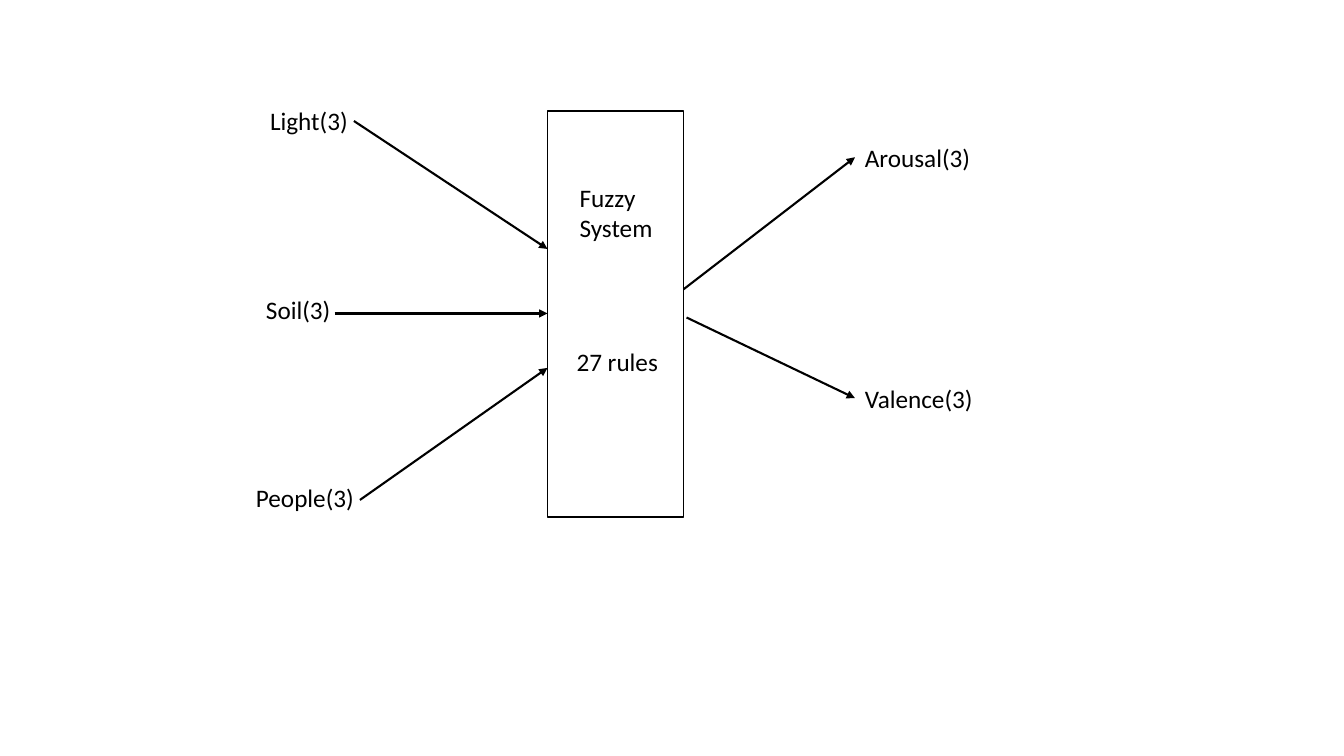
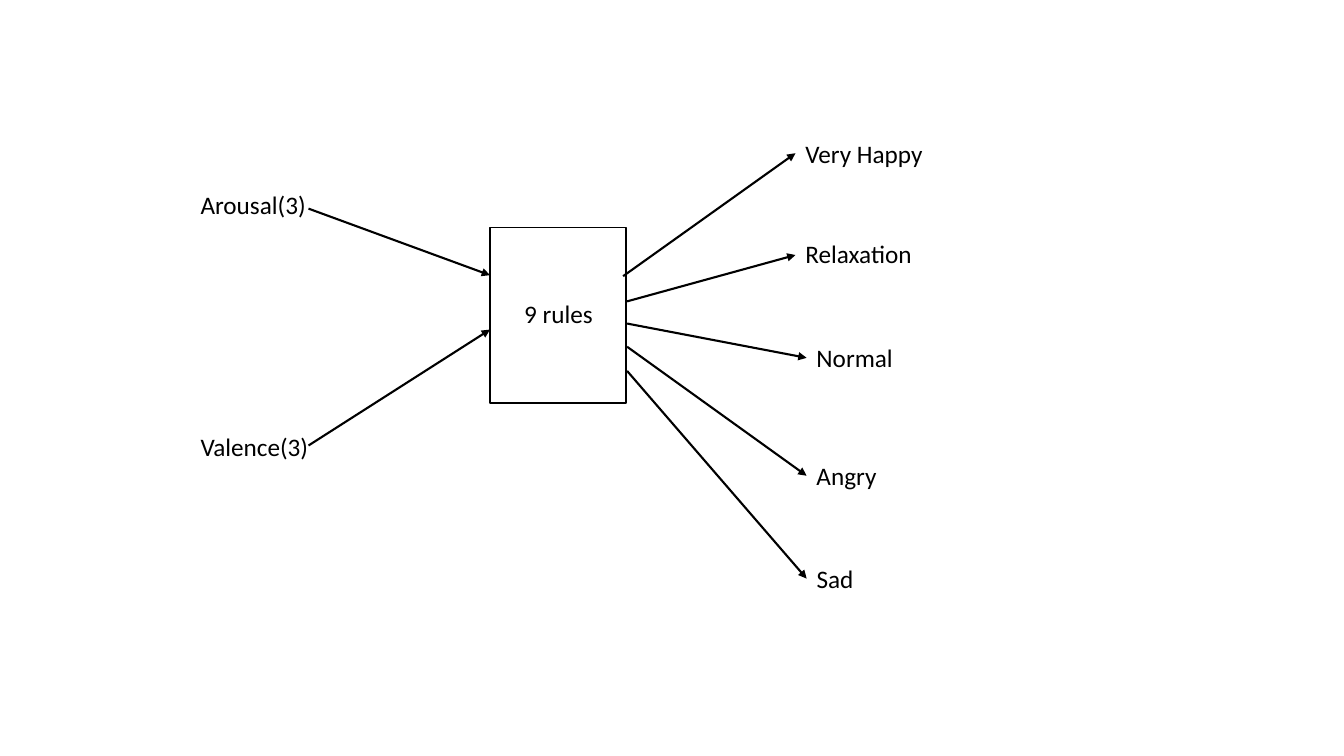
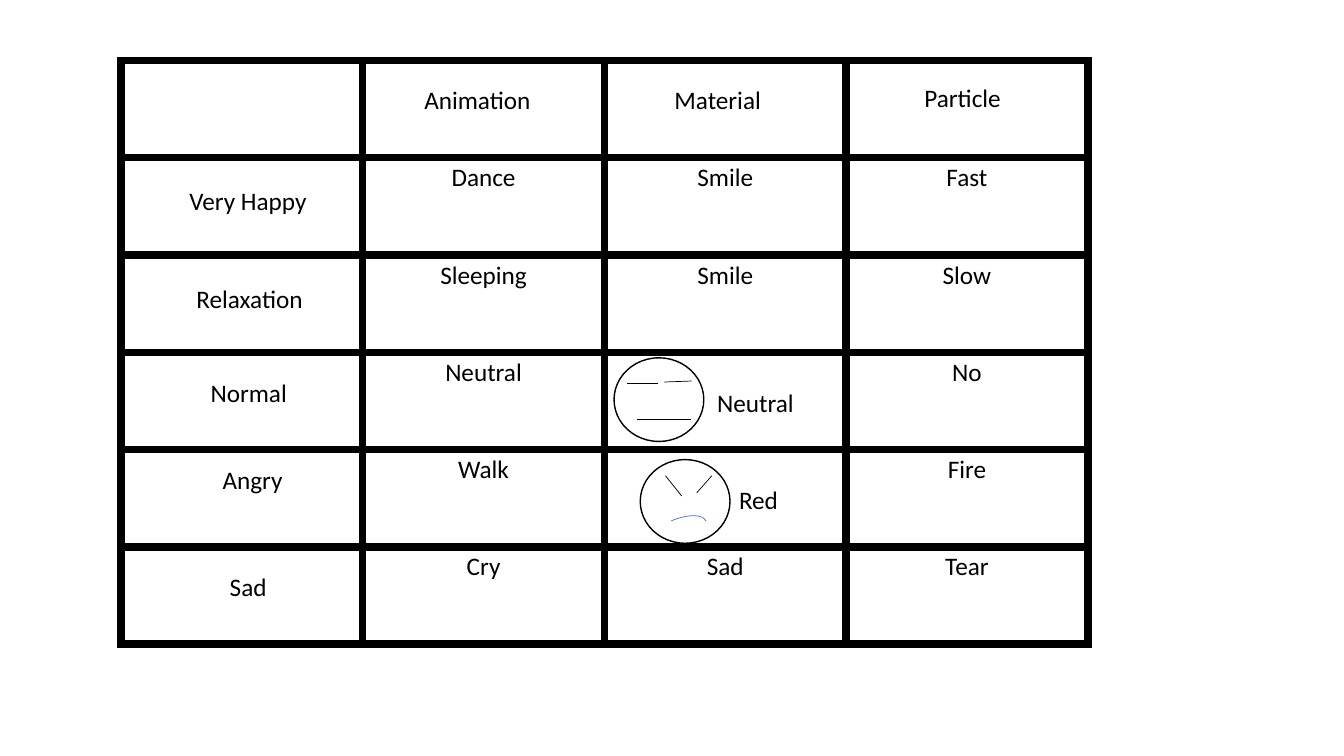
from dataclasses import dataclass
from typing import Any

from lxml import etree
from pptx import Presentation
from pptx.dml.color import RGBColor
from pptx.enum.shapes import MSO_CONNECTOR, MSO_SHAPE
from pptx.enum.text import MSO_AUTO_SIZE, PP_ALIGN
from pptx.oxml.ns import qn
from pptx.util import Inches, Pt

BLACK = RGBColor(0x00, 0x00, 0x00)
WHITE = RGBColor(0xFF, 0xFF, 0xFF)
BLUE = RGBColor(0x44, 0x72, 0xC4)

STRAIGHT = MSO_CONNECTOR.STRAIGHT
RECTANGLE = MSO_SHAPE.RECTANGLE
OVAL = MSO_SHAPE.OVAL
ARC = MSO_SHAPE.ARC
CENTER = PP_ALIGN.CENTER
GROW_TO_TEXT = MSO_AUTO_SIZE.SHAPE_TO_FIT_TEXT

FONT_FORMAT = {"name": "Calibri", "size": Pt(18), "bold": False}
FRAME_FORMAT = {"word_wrap": True, "auto_size": GROW_TO_TEXT}
TABLE_FORMAT = {"first_row": False, "horz_banding": False}

LABEL_HEIGHT = 0.4
BORDER_POINTS = 6
TABLE_LEFT, TABLE_TOP = 1.2, 0.6
TABLE_WIDTH, TABLE_HEIGHT = 9.59, 5.79


@dataclass(frozen=True)
class Label:
    text: str
    left: float
    top: float
    width: float = 1.35
    height: float = LABEL_HEIGHT


@dataclass(frozen=True)
class Line:
    start: tuple[float, float]
    end: tuple[float, float]


@dataclass(frozen=True)
class Box:
    left: float
    top: float
    width: float
    height: float


@dataclass(frozen=True)
class Diagram:
    box: Box
    labels: tuple[Label, ...]
    arrows: tuple[Line, ...]


@dataclass(frozen=True)
class Face:
    left: float
    top: float
    strokes: tuple[Line, ...]


@dataclass(frozen=True)
class Indent:
    left: float
    top: float


DIAGRAMS = (
    Diagram(
        Box(5.43, 1.1, 1.35, 4.03),
        (
            Label("Fuzzy System", 5.65, 1.76, 1.16, 0.71),
            Label("27 rules", 5.62, 3.39, 1.16),
            Label("Light(3)", 2.58, 1.0, 1.16),
            Label("Soil(3)", 2.54, 2.87, 1.16),
            Label("People(3)", 2.44, 4.74),
            Label("Arousal(3)", 8.48, 1.36),
            Label("Valence(3)", 8.48, 3.75),
        ),
        (
            Line((3.51, 1.2), (5.43, 2.47)),
            Line((3.32, 3.11), (5.43, 3.11)),
            Line((3.57, 4.96), (5.43, 3.65)),
            Line((6.78, 2.87), (8.48, 1.56)),
            Line((6.81, 3.15), (8.48, 3.95)),
        ),
    ),
    Diagram(
        Box(4.86, 2.26, 1.35, 1.74),
        (
            Label("Arousal(3)", 1.89, 1.83),
            Label("Valence(3)", 1.89, 4.23),
            Label("9 rules", 5.1, 2.91, 1.04),
            Label("Very Happy", 7.89, 1.32, 1.57),
            Label("Relaxation", 7.89, 2.32, 1.57),
            Label("Normal", 8.0, 3.35, 1.57),
            Label("Angry", 8.0, 4.52, 1.57),
            Label("Sad", 8.0, 5.54, 0.91),
        ),
        (
            Line((3.06, 2.07), (4.86, 2.73)),
            Line((3.06, 4.42), (4.86, 3.27)),
            Line((6.18, 2.74), (7.89, 1.52)),
            Line((6.22, 2.99), (7.89, 2.53)),
            Line((6.22, 3.21), (8.0, 3.55)),
            Line((6.22, 3.44), (8.0, 4.72)),
            Line((6.22, 3.68), (8.0, 5.74)),
        ),
    ),
)

REACTIONS = (
    ("", "", "", ""),
    ("", "Dance", "Smile", "Fast"),
    ("", "Sleeping", "Smile", "Slow"),
    ("", "Neutral", "Neutral", "No"),
    ("", "Walk", "Red", "Fire"),
    ("", "Cry", "Sad", "Tear"),
)
INDENTS = {(3, 2): Indent(0.7, 0.36), (4, 2): Indent(0.76, 0.36)}

TABLE_LABELS = (
    Label("Animation", 4.11, 0.79, 1.98),
    Label("Material", 6.59, 0.79, 1.98),
    Label("Particle", 9.07, 0.77, 1.98),
    Label("Very Happy", 1.78, 1.79, 1.57),
    Label("Relaxation", 1.85, 2.76, 1.57),
    Label("Normal", 1.99, 3.69, 1.57),
    Label("Angry", 2.11, 4.56, 1.57),
    Label("Sad", 2.18, 5.62, 0.91),
)

FACE_WIDTH, FACE_HEIGHT = 0.89, 0.83
ANGRY_FACE = Face(
    6.35, 4.56,
    (Line((6.6, 4.72), (6.76, 4.92)), Line((7.06, 4.72), (6.91, 4.89))),
)
NEUTRAL_FACE = Face(
    6.09, 3.55,
    (
        Line((6.22, 3.8), (6.53, 3.8)),
        Line((6.86, 3.78), (6.59, 3.79)),
        Line((6.32, 4.16), (6.85, 4.16)),
    ),
)
FROWN = Box(6.33, 5.17, 0.71, 0.31)
FROWN_ROTATION = 333.9
FROWN_ADJUSTMENTS = (171.58, 0)


def apply_format(target: Any, values: dict[str, Any]) -> None:
    for name, value in values.items():
        setattr(target, name, value)


def write_text(frame: Any, text: str) -> Any:
    para = frame.paragraphs[0]
    span = para.add_run()
    span.text = text
    apply_format(span.font, FONT_FORMAT)
    span.font.color.rgb = BLACK
    return para


def add_label(page: Any, label: Label) -> None:
    lengths = (label.left, label.top, label.width, label.height)
    frame = page.shapes.add_textbox(*map(Inches, lengths)).text_frame
    apply_format(frame, FRAME_FORMAT)
    write_text(frame, label.text)


def add_outline(
    page: Any, kind: Any, box: Box, points: float = 1, color: RGBColor = BLACK
) -> Any:
    lengths = (box.left, box.top, box.width, box.height)
    shape = page.shapes.add_shape(kind, *map(Inches, lengths))
    shape.shadow.inherit = False
    shape.fill.background()
    shape.line.color.rgb = color
    shape.line.width = Pt(points)
    return shape


def add_line(page: Any, line: Line, points: float, arrow: bool = False) -> None:
    connector = page.shapes.add_connector(
        STRAIGHT, *map(Inches, (*line.start, *line.end))
    )
    connector.line.color.rgb = BLACK
    connector.line.width = Pt(points)
    properties = connector._element.spPr
    if arrow:
        outline = properties.find(qn("a:ln"))
        etree.SubElement(outline, qn("a:tailEnd"), type="triangle")
    etree.SubElement(properties, qn("a:effectLst"))


def add_face(page: Any, face: Face) -> None:
    head = add_outline(
        page, OVAL, Box(face.left, face.top, FACE_WIDTH, FACE_HEIGHT)
    )
    head.fill.solid()
    head.fill.fore_color.rgb = WHITE
    for stroke in face.strokes:
        add_line(page, stroke, 0.5)


def add_frown(page: Any) -> None:
    frown = add_outline(page, ARC, FROWN, 0.5, BLUE)
    frown.rotation = FROWN_ROTATION
    for index, value in enumerate(FROWN_ADJUSTMENTS):
        frown.adjustments[index] = value


def add_borders(cell: Any) -> None:
    properties = cell._tc.get_or_add_tcPr()
    for index, side in enumerate(("lnL", "lnR", "lnT", "lnB")):
        border = etree.Element(qn(f"a:{side}"), w=str(Pt(BORDER_POINTS)))
        fill = etree.SubElement(border, qn("a:solidFill"))
        etree.SubElement(fill, qn("a:srgbClr"), val=str(BLACK))
        properties.insert(index, border)


def add_reaction_table(page: Any) -> None:
    rows, columns = len(REACTIONS), len(REACTIONS[0])
    lengths = (TABLE_LEFT, TABLE_TOP, TABLE_WIDTH, TABLE_HEIGHT)
    table = page.shapes.add_table(rows, columns, *map(Inches, lengths)).table
    apply_format(table, TABLE_FORMAT)
    for column in table.columns:
        column.width = Inches(TABLE_WIDTH / columns)
    for row_index, texts in enumerate(REACTIONS):
        table.rows[row_index].height = Inches(TABLE_HEIGHT / rows)
        for column_index, text in enumerate(texts):
            cell = table.cell(row_index, column_index)
            cell.fill.solid()
            cell.fill.fore_color.rgb = WHITE
            add_borders(cell)
            if text:
                write_text(cell.text_frame, text).alignment = CENTER
            indent = INDENTS.get((row_index, column_index))
            if indent:
                cell.margin_left = Inches(indent.left)
                cell.margin_top = Inches(indent.top)


def draw_diagram(page: Any, diagram: Diagram) -> None:
    add_outline(page, RECTANGLE, diagram.box)
    for label in diagram.labels:
        add_label(page, label)
    for arrow in diagram.arrows:
        add_line(page, arrow, 1.5, arrow=True)


def draw_reactions(page: Any) -> None:
    add_reaction_table(page)
    for label in TABLE_LABELS:
        add_label(page, label)
    add_face(page, ANGRY_FACE)
    add_frown(page)
    add_face(page, NEUTRAL_FACE)


def main() -> None:
    deck = Presentation()
    deck.slide_width = Inches(13.33)
    deck.slide_height = Inches(7.5)
    blank = deck.slide_layouts[6]
    for diagram in DIAGRAMS:
        draw_diagram(deck.slides.add_slide(blank), diagram)
    draw_reactions(deck.slides.add_slide(blank))
    deck.save("out.pptx")


if __name__ == "__main__":
    main()
